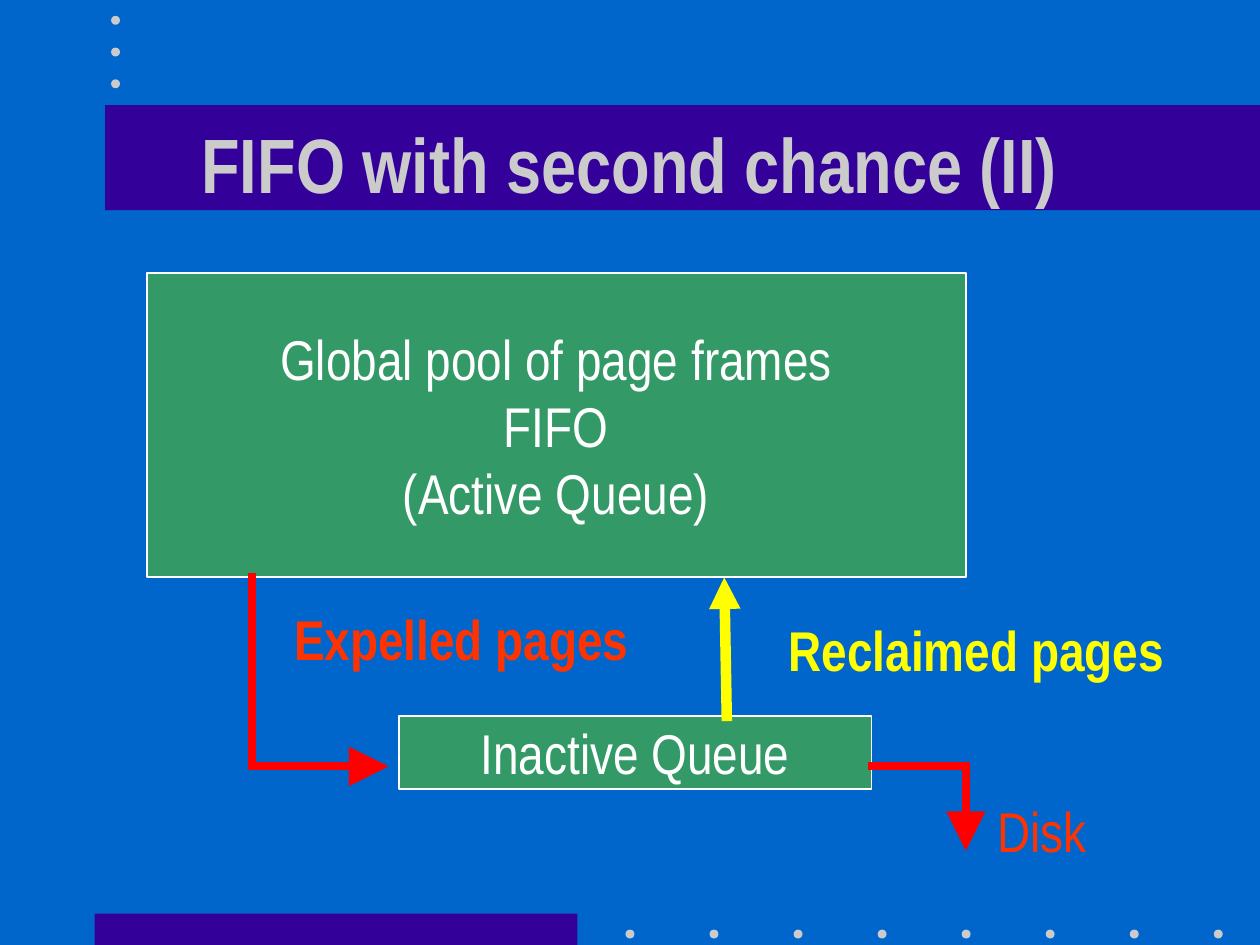
from lxml import etree
from pptx import Presentation
from pptx.dml.color import RGBColor
from pptx.enum import shapes, text
from pptx.oxml import ns
from pptx.util import Cm, Pt

FONT = "Arial Narrow"
COLORS = {
    "background": "0066CC",
    "band": "330099",
    "silver": "CBCBCB",
    "queue": "339966",
    "white": "FFFFFF",
    "arrow": "FF0000",
    "expelled": "FF3300",
    "reclaimed": "FFFF00",
}


def color(name):
    return RGBColor.from_string(COLORS[name])


def lengths(values):
    return [Cm(value) for value in values]


def format_text(text_frame, color_name, size=32, bold=False, alignment=text.PP_ALIGN.LEFT):
    for paragraph in text_frame.paragraphs:
        paragraph.alignment = alignment
        for run in paragraph.runs:
            run.font.name = FONT
            run.font.size = Pt(size)
            run.font.bold = bold
            run.font.color.rgb = color(color_name)


def add_filled(slide, kind, box, fill):
    shape = slide.shapes.add_shape(kind, *lengths(box))
    shape.shadow.inherit = False
    shape.fill.solid()
    shape.fill.fore_color.rgb = color(fill)
    shape.line.fill.background()
    return shape


def add_dots(slide, left, top, count, step_x=0, step_y=0):
    for index in range(count):
        box = (left + index * step_x, top + index * step_y, 0.18, 0.18)
        add_filled(slide, shapes.MSO_SHAPE.OVAL, box, "silver")


def add_decoration(slide):
    for box in ((1.91, 18.42, 9.73, 0.63), (2.12, 2.12, 23.28, 2.12)):
        add_filled(slide, shapes.MSO_SHAPE.RECTANGLE, box, "band")
    add_dots(slide, 12.61, 18.74, 8, step_x=11.86 / 7)
    add_dots(slide, 2.24, 0.32, 3, step_y=0.64)


def format_title(slide, content):
    title = slide.shapes.title
    title.element.getparent().append(title.element)
    title.left, title.top, title.width, title.height = lengths((1.9, 1.69, 21.6, 3.18))
    title.text_frame.text = content
    title.text_frame.auto_size = text.MSO_AUTO_SIZE.NONE
    title.text_frame.vertical_anchor = text.MSO_ANCHOR.MIDDLE
    format_text(title.text_frame, "silver", 44, True, text.PP_ALIGN.CENTER)


def add_queue(slide, box, content):
    shape = add_filled(slide, shapes.MSO_SHAPE.RECTANGLE, box, "queue")
    shape.line.color.rgb = color("white")
    shape.line.width = Pt(1)
    shape.text_frame.text = content
    shape.text_frame.word_wrap = False
    shape.text_frame.vertical_anchor = text.MSO_ANCHOR.MIDDLE
    format_text(shape.text_frame, "white", alignment=text.PP_ALIGN.CENTER)


def add_label(slide, box, content, color_name, bold):
    text_frame = slide.shapes.add_textbox(*lengths(box)).text_frame
    text_frame.text = content
    text_frame.word_wrap = False
    text_frame.auto_size = text.MSO_AUTO_SIZE.SHAPE_TO_FIT_TEXT
    format_text(text_frame, color_name, bold=bold)


def add_line(slide, start, end, color_name, width, head_size):
    connector = slide.shapes.add_connector(
        shapes.MSO_CONNECTOR.STRAIGHT, *lengths(start + end)
    )
    connector.line.color.rgb = color(color_name)
    connector.line.width = Pt(width)
    properties = connector.element.spPr
    line = properties.find(ns.qn("a:ln"))
    line.set("cap", "sq")
    if head_size:
        etree.SubElement(
            line, ns.qn("a:tailEnd"), type="triangle", w=head_size, len=head_size
        )
    etree.SubElement(properties, ns.qn("a:effectLst"))


def add_route(slide, points, color_name, width, head_size):
    last = len(points) - 2
    for index, (start, end) in enumerate(zip(points, points[1:])):
        size = head_size if index == last else None
        add_line(slide, start, end, color_name, width, size)


def main():
    presentation = Presentation()
    presentation.slide_width, presentation.slide_height = Cm(25.4), Cm(19.05)
    slide = presentation.slides.add_slide(presentation.slide_layouts[5])
    slide.background.fill.solid()
    slide.background.fill.fore_color.rgb = color("background")

    add_decoration(slide)
    format_title(slide, "FIFO with second chance (II)")
    add_queue(slide, (2.96, 5.5, 16.51, 6.14),
              "Global pool of page frames\nFIFO\n(Active Queue)")
    add_queue(slide, (8.04, 14.43, 9.53, 1.48), "Inactive Queue")
    add_route(slide, [(5.08, 11.64), (5.08, 15.45), (7.83, 15.45)], "arrow", 4.5, "lg")
    add_route(slide, [(17.57, 15.45), (19.47, 15.45), (19.47, 17.15)], "arrow", 4.5, "lg")
    add_label(slide, (19.86, 15.93, 2.31, 1.63), "Disk", "expelled", False)
    add_label(slide, (5.68, 12.07, 7.5, 1.63), "Expelled pages", "expelled", True)
    add_label(slide, (15.65, 12.28, 8.2, 1.63), "Reclaimed pages", "reclaimed", True)
    add_route(slide, [(14.65, 14.43), (14.6, 11.64)], "reclaimed", 6, "med")

    presentation.save("out.pptx")


if __name__ == "__main__":
    main()
